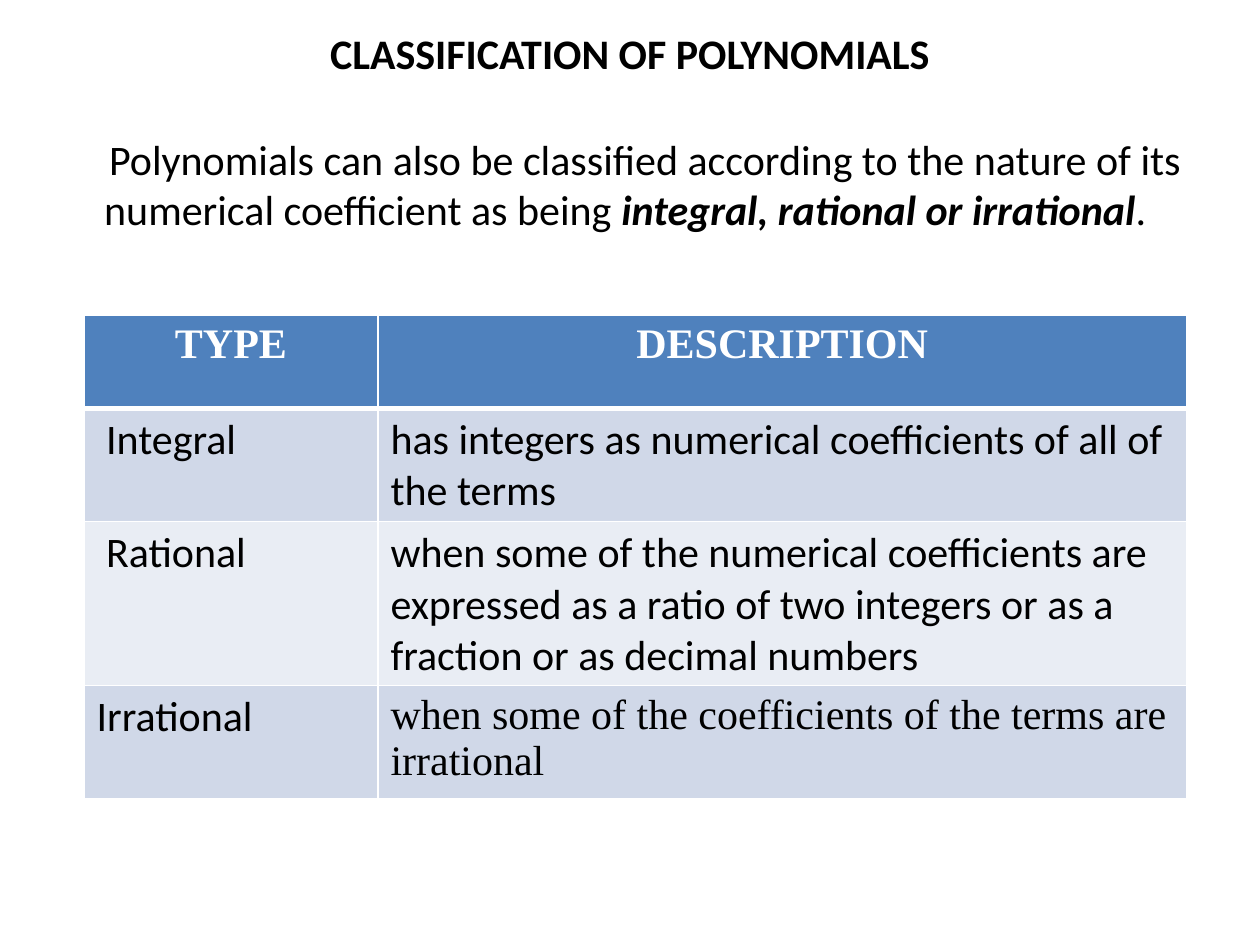
from lxml import etree
from pptx import Presentation
from pptx.dml.color import RGBColor
from pptx.enum import text as t
from pptx.oxml.ns import qn
from pptx.util import Pt

# Content
TITLE = "CLASSIFICATION OF POLYNOMIALS"
INTRO = [
    ("Polynomials can also be classified according to the nature of its "
     "numerical coefficient as being ", False),
    ("integral, rational or irrational", True),
    (". ", False),
]
ROWS = [
    ("TYPE", "DESCRIPTION"),
    (" Integral", "has integers as numerical coefficients of all of the terms"),
    (" Rational", "when some of the numerical coefficients are expressed as "
     "a ratio of two integers or as a fraction or as decimal numbers"),
    ("Irrational", "when some of the coefficients of the terms are irrational"),
]
WIDTHS = (168, 462)
ROW_H = 53.3
HEAD, BANDS = "4F81BD", ("D0D8E8", "E9EDF4")
SANS, SERIF = "Calibri", "Times New Roman"


def color(code):
    return RGBColor.from_string(code)


def style(para, face=SANS, code="000000", bold=None, align=t.PP_ALIGN.CENTER):
    font = para.font
    font.name, font.size, font.bold = face, Pt(24), bold
    font.color.rgb = color(code)
    para.alignment = align


def add_text(slide, left, top, width, height):
    frame = slide.shapes.add_textbox(
        Pt(left), Pt(top), Pt(width), Pt(height)).text_frame
    frame.word_wrap = True
    frame.vertical_anchor = t.MSO_ANCHOR.MIDDLE
    return frame.paragraphs[0]


def add_edges(cell, base):
    # Borders must come before the fill in the cell properties
    props = cell._tc.get_or_add_tcPr()
    for i, (side, size) in enumerate(
            (("lnL", 1), ("lnR", 1), ("lnT", 1), ("lnB", base))):
        line = etree.Element(qn("a:" + side), w=str(Pt(size)))
        fill = etree.SubElement(line, qn("a:solidFill"))
        etree.SubElement(fill, qn("a:srgbClr"), val="FFFFFF")
        props.insert(i, line)


def main():
    deck = Presentation()
    deck.slide_width, deck.slide_height = Pt(720), Pt(540)
    slide = deck.slides.add_slide(deck.slide_layouts[6])

    # Intro sentence, with its first line indented
    para = add_text(slide, 36, 60, 648, 90)
    style(para)
    para._p.get_or_add_pPr().set("indent", str(Pt(17.3)))
    for words, strong in INTRO:
        run = para.add_run()
        run.text = words
        if strong:
            run.font.bold = run.font.italic = True

    # Table of types
    table = slide.shapes.add_table(
        len(ROWS), len(WIDTHS), Pt(48), Pt(180),
        Pt(sum(WIDTHS)), Pt(ROW_H * len(ROWS))).table
    for col, width in zip(table.columns, WIDTHS):
        col.width = Pt(width)
    for r, row in enumerate(ROWS):
        table.rows[r].height = Pt(ROW_H)
        for c, words in enumerate(row):
            cell = table.cell(r, c)
            cell.text = words
            cell.fill.solid()
            cell.fill.fore_color.rgb = color(BANDS[(r - 1) % 2] if r else HEAD)
            add_edges(cell, 1 if r else 3)
            para = cell.text_frame.paragraphs[0]
            if r == 0:
                style(para, SERIF, "FFFFFF", True)
            else:
                last = (r, c) == (len(ROWS) - 1, 1)
                style(para, SERIF if last else SANS, bold=False,
                      align=t.PP_ALIGN.LEFT)

    # Title
    para = add_text(slide, 66, 12, 588, 36)
    para.text = TITLE
    style(para, bold=True)

    deck.save("out.pptx")


if __name__ == "__main__":
    main()
